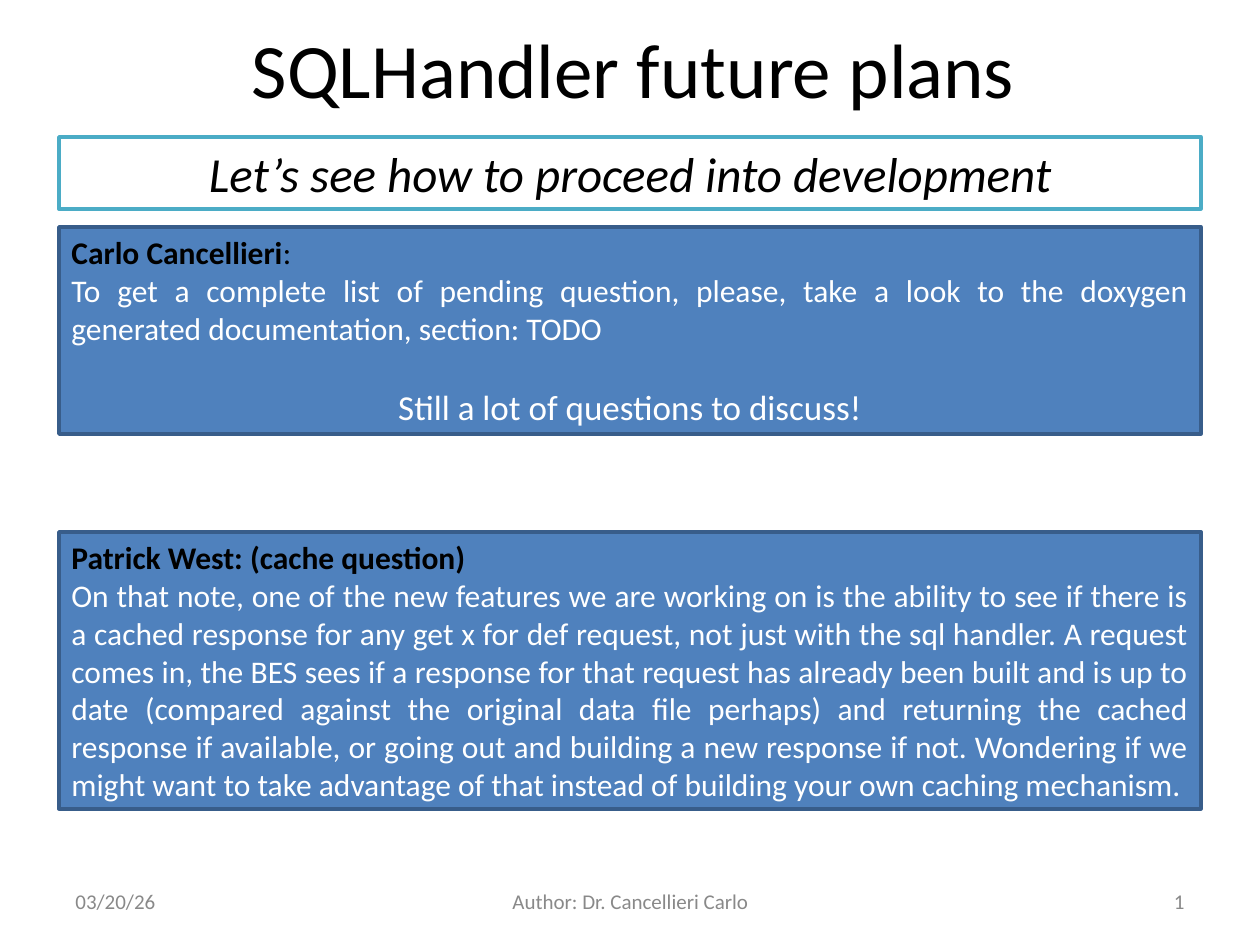
from pptx import Presentation
from pptx.dml.color import RGBColor
from pptx.enum.shapes import MSO_SHAPE as Shape
from pptx.enum.text import MSO_ANCHOR as Anchor, MSO_AUTO_SIZE as AutoSize, PP_ALIGN as Align
from pptx.util import Pt

PX = 914400 / 126  # EMU per px
BLACK, WHITE, GRAY = "000000", "FFFFFF", "898989"
BLUE, NAVY, TEAL = "4F81BD", "385D8A", "4BACC6"


def color(value):
    return RGBColor.from_string(value)


def write(paragraph, runs, size, align):
    paragraph.alignment = align
    for text, text_color, bold, italic in runs:
        run = paragraph.add_run()
        run.text = text
        font = run.font
        font.name, font.size = "Calibri", Pt(size)
        font.bold, font.italic = bold, italic
        font.color.rgb = color(text_color)


presentation = Presentation()
presentation.slide_width = round(1260 * PX)
presentation.slide_height = round(945 * PX)
slide = presentation.slides.add_slide(presentation.slide_layouts[5])

# Title
title = slide.shapes.title
title.left, title.top, title.width, title.height = [round(n * PX) for n in (98, 0, 1071, 136)]
title.text_frame.vertical_anchor = Anchor.MIDDLE
write(title.text_frame.paragraphs[0],
      [("SQLHandler future plans", BLACK, False, False)], 44, Align.CENTER)

# Boxes: top, height, fill, line, paragraphs (runs, size, alignment, space before)
boxes = [
    (137, 72, WHITE, TEAL, [
        ([("Let’s see how to proceed into development", BLACK, False, True)], 28, Align.CENTER, 0),
    ]),
    (227, 207, BLUE, NAVY, [
        ([("Carlo Cancellieri", BLACK, True, False), (":", BLACK, False, False)],
         18, Align.JUSTIFY, 0),
        ([("To get a complete list of pending question, please, take a look to the doxygen "
           "generated documentation, section: TODO", WHITE, False, False)], 18, Align.JUSTIFY, 0),
        ([("Still a lot of questions to discuss!", WHITE, False, False)], 20, Align.CENTER, 22),
    ]),
    (532, 277, BLUE, NAVY, [
        ([("Patrick West: (cache question)", BLACK, True, False)], 18, Align.JUSTIFY, 0),
        ([("On that note, one of the new features we are working on is the ability to see if "
           "there is a cached response for any get x for def request, not just with the sql "
           "handler. A request comes in, the BES sees if a response for that request has already "
           "been built and is up to date (compared against the original data file perhaps) and "
           "returning the cached response if available, or going out and building a new response "
           "if not. Wondering if we might want to take advantage of that instead of building "
           "your own caching mechanism.", WHITE, False, False)], 18, Align.JUSTIFY, 0),
    ]),
]
for top, height, fill, line, paragraphs in boxes:
    shape = slide.shapes.add_shape(
        Shape.RECTANGLE, *[round(n * PX) for n in (59, top, 1142, height)])
    shape.shadow.inherit = False
    shape.fill.solid()
    shape.fill.fore_color.rgb = color(fill)
    shape.line.color.rgb = color(line)
    shape.line.width = Pt(2)
    frame = shape.text_frame
    frame.word_wrap = True
    frame.auto_size = AutoSize.SHAPE_TO_FIT_TEXT
    frame.vertical_anchor = Anchor.TOP
    for index, (runs, size, align, space) in enumerate(paragraphs):
        paragraph = frame.add_paragraph() if index else frame.paragraphs[0]
        if space:
            paragraph.space_before = Pt(space)
        write(paragraph, runs, size, align)

# Footer: date, author, slide number
for left, width, text, align in [
    (63, 294, "03/20/26", Align.LEFT),
    (431, 399, "Author: Dr. Cancellieri Carlo", Align.CENTER),
    (903, 294, "1", Align.RIGHT),
]:
    footer = slide.shapes.add_textbox(*[round(n * PX) for n in (left, 876, width, 50)])
    footer.text_frame.word_wrap = True
    footer.text_frame.vertical_anchor = Anchor.MIDDLE
    write(footer.text_frame.paragraphs[0], [(text, GRAY, False, False)], 12, align)

presentation.save("out.pptx")
